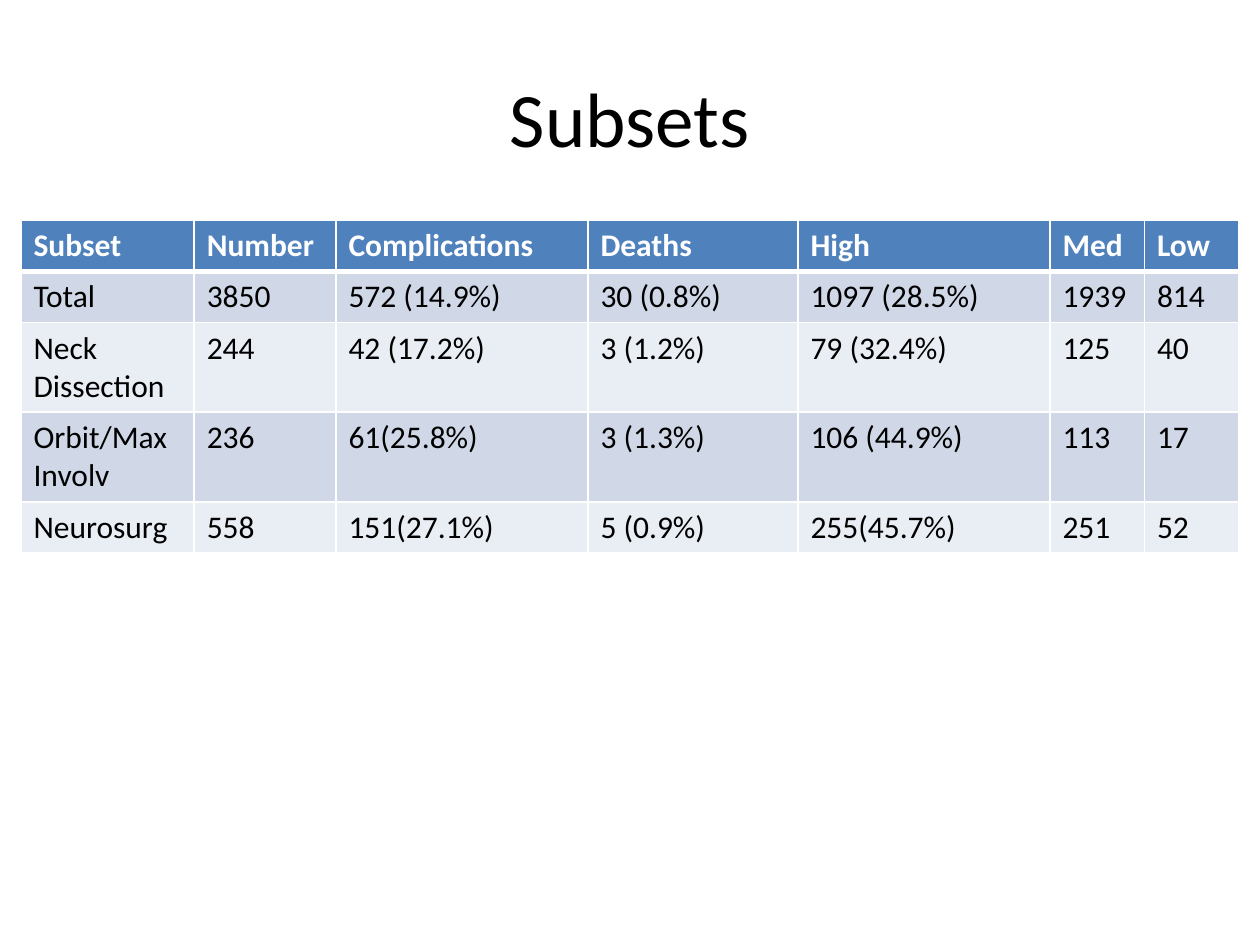
from lxml import etree
from pptx import Presentation
from pptx.dml.color import RGBColor
from pptx.enum import text
from pptx.oxml import ns
from pptx.util import Pt

WHITE = RGBColor(0xFF, 0xFF, 0xFF)
BLACK = RGBColor(0, 0, 0)
BLUE = RGBColor(0x4F, 0x81, 0xBD)
BANDS = [RGBColor(0xE9, 0xED, 0xF4), RGBColor(0xD0, 0xD8, 0xE8)]
FONT = "Calibri"

ROWS = [
    ["Subset", "Number", "Complications", "Deaths", "High", "Med", "Low"],
    ["Total", "3850", "572 (14.9%)", "30 (0.8%)", "1097 (28.5%)", "1939", "814"],
    ["Neck Dissection", "244", "42 (17.2%)", "3 (1.2%)", "79 (32.4%)", "125", "40"],
    ["Orbit/Max Involv", "236", "61(25.8%)", "3 (1.3%)", "106 (44.9%)", "113", "17"],
    ["Neurosurg", "558", "151(27.1%)", "5 (0.9%)", "255(45.7%)", "251", "52"],
]
WIDTHS = [99, 81, 144, 120, 144, 54, 54]
ROW_H = 29.2


def style(par, size, color, bold=False):
    font = par.font
    font.name, font.size, font.bold = FONT, Pt(size), bold
    font.color.rgb = color


def edge(cell, side, width):
    props = cell._tc.get_or_add_tcPr()
    line = etree.SubElement(props, ns.qn("a:ln" + side), w=str(Pt(width)))
    fill = etree.SubElement(line, ns.qn("a:solidFill"))
    etree.SubElement(fill, ns.qn("a:srgbClr"), val=str(WHITE))


deck = Presentation()
deck.slide_width, deck.slide_height = Pt(720), Pt(540)
slide = deck.slides.add_slide(deck.slide_layouts[5])

# Title
title = slide.shapes.title
title.left, title.top, title.width, title.height = Pt(36), Pt(21.6), Pt(648), Pt(90)
title.text_frame.text = "Subsets"
title.text_frame.vertical_anchor = text.MSO_ANCHOR.MIDDLE
head = title.text_frame.paragraphs[0]
head.alignment = text.PP_ALIGN.CENTER
style(head, 44, BLACK)

# Table grid
table = slide.shapes.add_table(
    len(ROWS), len(WIDTHS), Pt(12), Pt(126),
    Pt(sum(WIDTHS)), Pt(ROW_H * len(ROWS))).table
for col, width in zip(table.columns, WIDTHS):
    col.width = Pt(width)

# Cells: blue header, then banded rows, with a thick rule under the header
for r, row in enumerate(ROWS):
    table.rows[r].height = Pt(ROW_H)
    rules = {"L": 1, "R": 1, "T": 3 if r == 1 else 1, "B": 3 if r == 0 else 1}
    for c, word in enumerate(row):
        cell = table.cell(r, c)
        cell.text = word
        style(cell.text_frame.paragraphs[0], 18, BLACK if r else WHITE, r == 0)
        for side, width in rules.items():
            edge(cell, side, width)
        cell.fill.solid()
        cell.fill.fore_color.rgb = BANDS[r % 2] if r else BLUE

deck.save("out.pptx")
